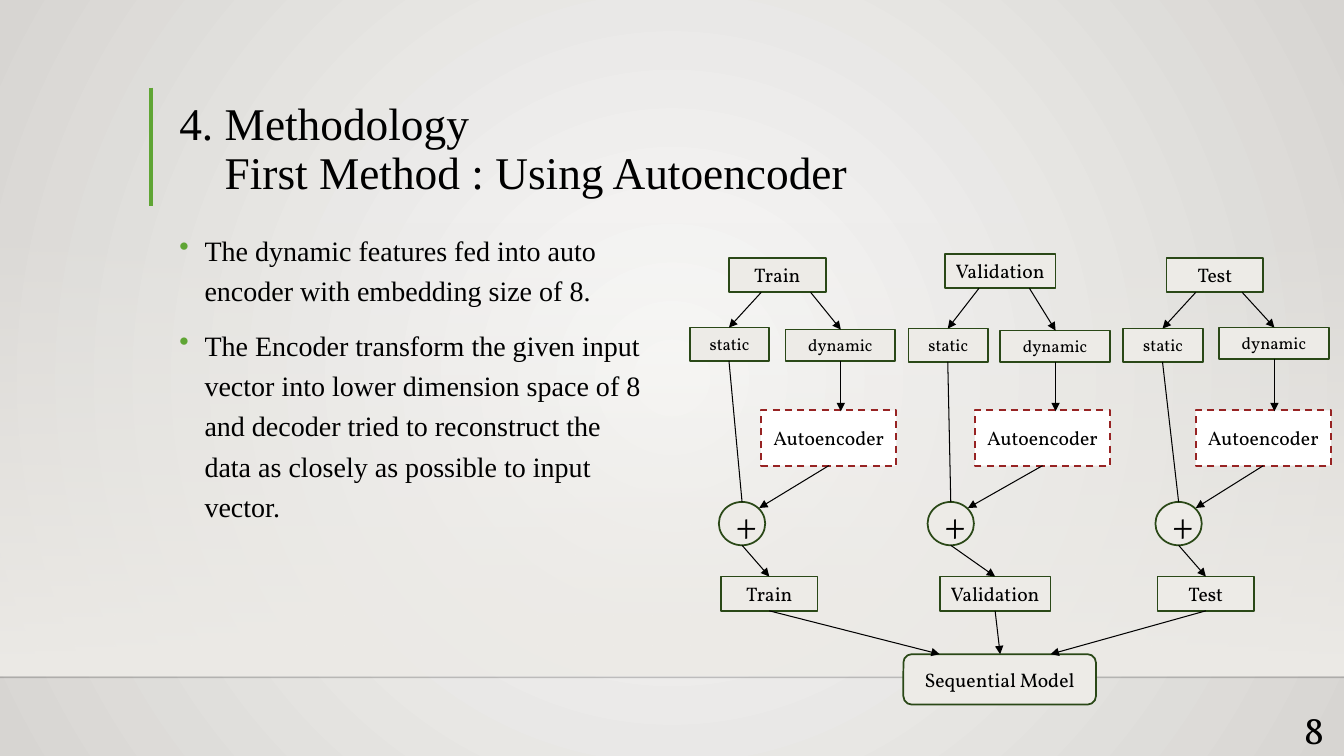
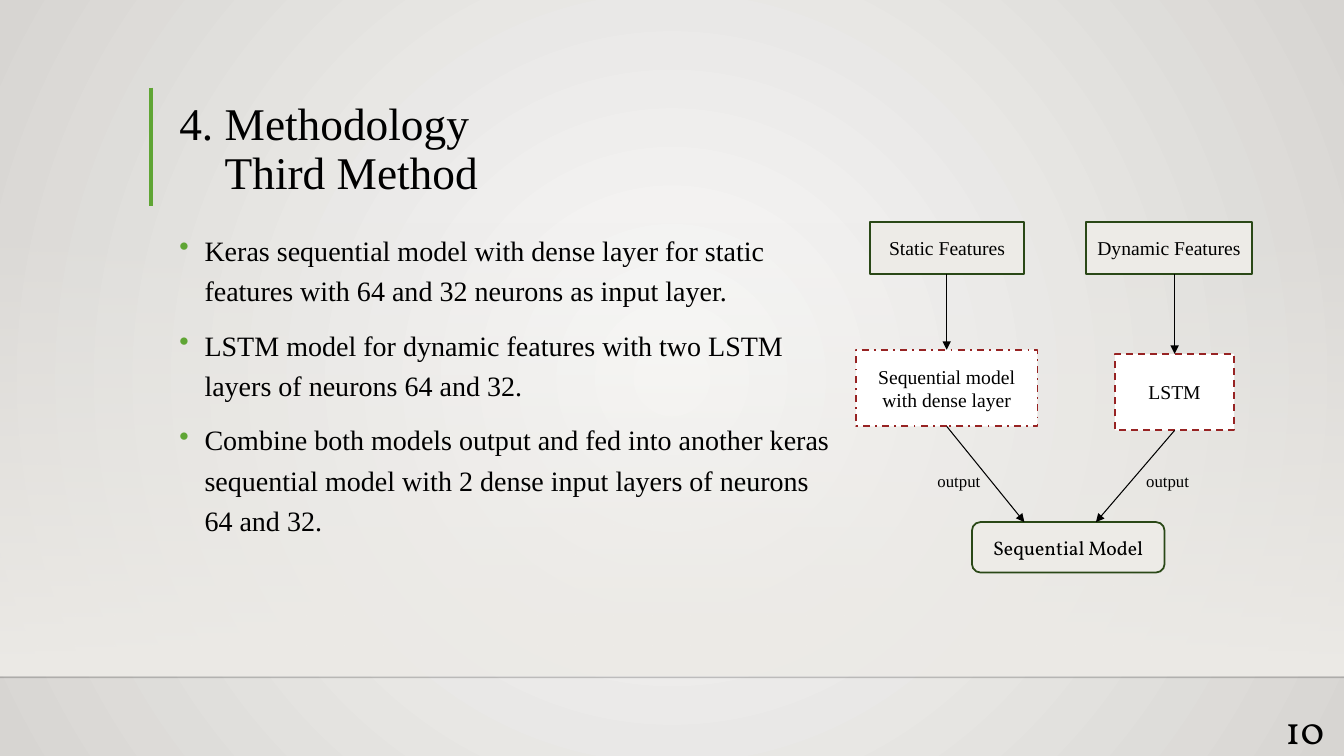
"""Build two methodology slides with shared styling and flow diagrams."""
from dataclasses import dataclass

from lxml import etree
from pptx import Presentation
from pptx.dml.color import RGBColor as Rgb
from pptx.enum import dml, shapes, text
from pptx.oxml.ns import qn
from pptx.util import Inches, Pt


@dataclass(frozen=True)
class Theme:
    ink: str = "000000"
    green: str = "5FA534"
    edge: str = "2A4817"
    red: str = "972323"
    sand: str = "EDEBE7"
    white: str = "FFFFFF"
    light: str = "FAFAF9"
    dark: str = "D7D5D2"
    serif: str = "Times New Roman"
    book: str = "Vollkorn"
    title: float = 32.4
    big: int = 28
    body: int = 20
    label: int = 14
    small: int = 12


look = Theme()
rect = shapes.MSO_SHAPE.RECTANGLE
pill = shapes.MSO_SHAPE.ROUNDED_RECTANGLE
oval = shapes.MSO_SHAPE.OVAL
dash = dml.MSO_LINE.DASH
mixed = dml.MSO_LINE.DASH_DOT
left, mid, right = text.PP_ALIGN.LEFT, text.PP_ALIGN.CENTER, text.PP_ALIGN.RIGHT


def box(page, at, lines, size, font=look.book, kind=rect, style=None, side=mid):
    """Add a shape, or a text box when kind is None, with one paragraph a line."""
    spot = [Inches(n) for n in at]
    if kind is None:
        item = page.shapes.add_textbox(*spot)
    else:
        item = page.shapes.add_shape(kind, *spot)
        item.shadow.inherit = False
        item.fill.solid()
        item.fill.fore_color.rgb = Rgb.from_string(look.white if style else look.sand)
        item.line.color.rgb = Rgb.from_string(look.red if style else look.edge)
        item.line.width = Pt(1.25)
        if style:
            item.line.dash_style = style
    frame = item.text_frame
    frame.word_wrap = True
    frame.vertical_anchor = text.MSO_ANCHOR.MIDDLE if kind else text.MSO_ANCHOR.TOP
    for i, line in enumerate(lines):
        para = frame.add_paragraph() if i else frame.paragraphs[0]
        para.alignment = side
        run = para.add_run()
        run.text = line
        run.font.size = Pt(size)
        run.font.name = font
        run.font.color.rgb = Rgb.from_string(look.ink)
    return item


def link(page, start, end, color=look.ink, width=0.75, arrow=True):
    """Add a straight line, with an arrowhead at its end if wanted."""
    ends = [Inches(n) for n in (*start, *end)]
    item = page.shapes.add_connector(shapes.MSO_CONNECTOR.STRAIGHT, *ends)
    item.line.color.rgb = Rgb.from_string(color)
    item.line.width = Pt(width)
    props = item.element.spPr
    if arrow:
        etree.SubElement(props.find(qn("a:ln")), qn("a:tailEnd"), type="triangle")
    etree.SubElement(props, qn("a:effectLst"))
    return item


deck = Presentation()
deck.slide_width, deck.slide_height = Inches(13.33), Inches(7.5)

plans = [
    ("First Method : Using Autoencoder", "8", 4.78, [
        "The dynamic features fed into auto encoder with embedding size of 8.",
        "The Encoder transform the given input vector into lower dimension space "
        "of 8 and decoder tried to reconstruct the data as closely as possible "
        "to input vector.",
    ]),
    ("Third Method", "10", 6.68, [
        "Keras sequential model with dense layer for static features with 64 and "
        "32 neurons as input layer.",
        "LSTM model for dynamic features with two LSTM layers of neurons 64 and 32.",
        "Combine both models output and fed into another keras sequential model "
        "with 2 dense input layers of neurons 64 and 32.",
    ]),
]

pages = []
for name, number, wide, points in plans:
    page = deck.slides.add_slide(deck.slide_layouts[6])
    pages.append(page)
    band = box(page, (0, 2.2, 13.33, 4.5), [], look.body)
    band.line.fill.background()
    for fill, tones in ((page.background.fill, (look.light, look.dark)),
                        (band.fill, (look.sand, look.sand))):
        fill.gradient()
        fill.gradient_angle = 270
        for stop, tone, place in zip(fill.gradient_stops, tones, (0, 1)):
            stop.color.rgb = Rgb.from_string(tone)
            stop.position = place
    clear = next(band.element.iter(qn("a:srgbClr")))
    etree.SubElement(clear, qn("a:alpha"), val="0")
    grad = next(page.element.iter(qn("a:gradFill")))
    ring = etree.Element(qn("a:path"), path="circle")
    etree.SubElement(ring, qn("a:fillToRect"), l="50000", t="50000", r="50000", b="50000")
    grad.replace(grad.find(qn("a:lin")), ring)

    rule = link(page, (0, 6.72), (13.33, 6.72), width=1, arrow=False)
    tint = next(rule.element.iter(qn("a:srgbClr")))
    etree.SubElement(tint, qn("a:alpha"), val="20000")
    link(page, (1.5, 0.87), (1.5, 2.04), look.green, 3, False)

    head = box(page, (1.68, 0.88, 10.41, 1.15), ["4. Methodology", name],
               look.title, look.serif, None, side=left).text_frame
    head.vertical_anchor = text.MSO_ANCHOR.BOTTOM
    for para in head.paragraphs:
        para.line_spacing = 0.9
    head.paragraphs[1]._p.get_or_add_pPr().set("marL", str(Inches(0.45)))

    body = box(page, (1.68, 2.2, wide, 3.77), points,
               look.body, look.serif, None, side=left).text_frame
    for para in body.paragraphs:
        para.line_spacing = 1.2
        para.space_before = Pt(10)
        props = para._p.get_or_add_pPr()
        props.set("marL", str(Inches(0.25)))
        props.set("indent", str(-Inches(0.25)))
        hue = etree.SubElement(props, qn("a:buClr"))
        etree.SubElement(hue, qn("a:srgbClr"), val=look.green)
        etree.SubElement(props, qn("a:buChar"), char="•")
    box(page, (12.34, 6.95, 0.89, 0.55), [number], look.big, kind=None, side=right)

first, third = pages

box(first, (8.96, 6.49, 1.91, 0.5), ["Sequential Model"], look.label, kind=pill)
flows = [
    ("Train", 0.96, (7.23, 2.56), (7.55, 8.04), (6.84, 3.25), (7.79, 3.27),
     7.55, 7.13, 7.15, 9.32),
    ("Validation", 1.1, (9.37, 2.52), (9.71, 10.21), (9.01, 3.26), (9.92, 3.28),
     9.67, 9.2, 9.32, 9.92),
    ("Test", 0.96, (11.57, 2.56), (11.86, 12.32), (11.14, 3.26), (12.09, 3.25),
     11.86, 11.46, 11.48, 10.42),
]
for name, wide, top, forks, fix, dyn, auto, plus, base, goal in flows:
    box(first, (*top, wide, 0.34), [name], look.label)
    box(first, (*fix, 0.79, 0.33), ["static"], look.small)
    box(first, (*dyn, 1.09, 0.31), ["dynamic"], look.small)
    box(first, (auto, 4.07, 1.34, 0.55), ["Autoencoder"], look.label, style=dash)
    box(first, (plus, 4.98, 0.46, 0.43), ["+"], look.big, kind=oval)
    box(first, (base, 5.72, wide, 0.34), [name], look.label)

    fixed, moving = fix[0] + 0.39, dyn[0] + 0.55
    join, foot = plus + 0.23, base + wide / 2
    link(first, (forks[0], top[1] + 0.34), (fixed, fix[1]))
    link(first, (forks[1], top[1] + 0.34), (moving, dyn[1]))
    link(first, (moving, dyn[1] + 0.31), (moving, 4.08))
    link(first, (auto + 0.67, 4.62), (plus + 0.4, 5.04))
    link(first, (fixed, fix[1] + 0.33), (join, 4.98), arrow=False)
    link(first, (join, 5.41), (foot, 5.72))
    link(first, (foot, 6.06), (goal, 6.49))

box(third, (9.64, 5.18, 1.91, 0.5), ["Sequential Model"], look.label, kind=pill)
paths = [
    ("Static Features", 8.63, 1.53, "Sequential model with dense layer",
     (8.49, 3.47, 1.8, 0.76), mixed, 10.16, 9.2),
    ("Dynamic Features", 10.77, 1.65, "LSTM",
     (11.06, 3.51, 1.18, 0.76), dash, 10.87, 11.27),
]
for name, x, wide, model, at, style, goal, note in paths:
    box(third, (x, 2.2, wide, 0.52), [name], look.label, look.serif)
    box(third, at, [model], look.label, look.serif, style=style)
    axis = at[0] + at[2] / 2
    link(third, (axis, 2.72), (axis, at[1]))
    link(third, (axis, at[1] + at[3]), (goal, 5.18))
    box(third, (note, 4.62, 1.1, 0.3), ["output"], look.small, look.serif, None, side=left)

deck.save("out.pptx")
